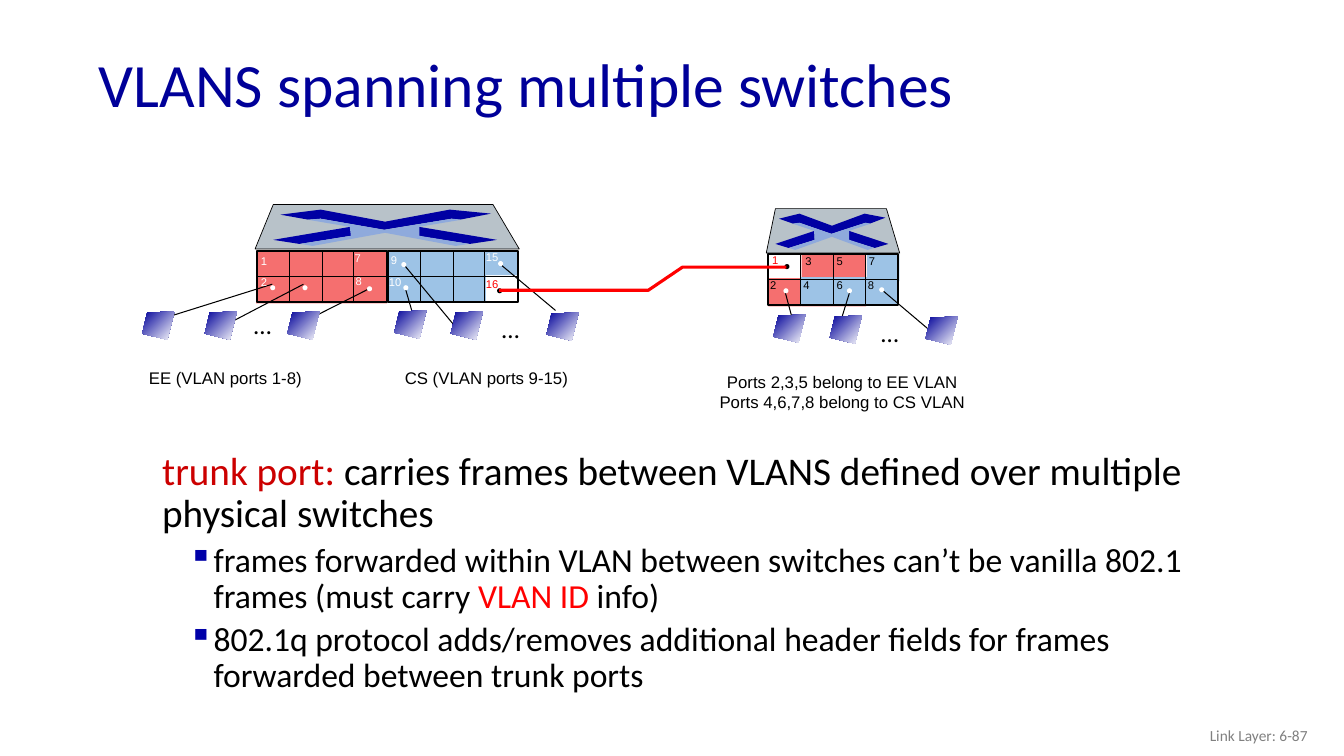
from typing import NamedTuple

from lxml.etree import SubElement
from pptx import Presentation
from pptx.dml.color import RGBColor
from pptx.enum.shapes import MSO_CONNECTOR as CONN, MSO_SHAPE as SHAPE
from pptx.enum.text import MSO_ANCHOR as ANCHOR, MSO_AUTO_SIZE as AUTO, PP_ALIGN as ALIGN
from pptx.oxml.ns import qn
from pptx.util import Inches, Pt

RED, BLUE, WHITE, BLACK = "F56F6F", "9DC3E6", "FFFFFF", "000000"
TRUNK, NAVY = "FF0000", "000099"
Point = tuple[float, float]


class Cell(NamedTuple):
    x: float
    y: float
    w: float
    h: float
    color: str


class Label(NamedTuple):
    text: str
    x: float
    y: float
    color: str


class Caption(NamedTuple):
    text: str
    x: float
    y: float
    w: float
    h: float
    wrap: bool


class Switch(NamedTuple):
    x: float
    y: float
    scale: float


# Port colours, two-row port banks and port numbers
CELLS = [
    Cell(2.54, 2.49, 1.3, 0.52, RED),
    Cell(3.84, 2.5, 0.98, 0.5, BLUE),
    Cell(4.81, 2.49, 0.32, 0.24, BLUE),
    Cell(7.62, 2.76, 0.33, 0.28, RED),
    Cell(7.95, 2.52, 0.64, 0.52, RED),
    Cell(8.6, 2.52, 0.32, 0.27, BLUE),
    Cell(7.94, 2.75, 0.97, 0.27, BLUE),
]
BANKS = [(2.55, 2.49), (3.85, 2.49), (7.62, 2.52)]
BANK_W, BANK_H, PORT_W = 1.29, 0.51, 0.32
LABELS = [
    Label("1", 2.49, 2.47, WHITE), Label("2", 2.49, 2.68, WHITE),
    Label("7", 3.42, 2.44, WHITE), Label("8", 3.43, 2.67, WHITE),
    Label("9", 3.78, 2.46, WHITE), Label("10", 3.76, 2.68, WHITE),
    Label("15", 4.72, 2.43, WHITE), Label("16", 4.72, 2.7, TRUNK),
    Label("1", 7.56, 2.46, TRUNK), Label("2", 7.54, 2.71, BLACK),
    Label("3", 7.89, 2.47, BLACK), Label("4", 7.87, 2.71, BLACK),
    Label("5", 8.2, 2.47, BLACK), Label("6", 8.2, 2.71, BLACK),
    Label("7", 8.52, 2.47, BLACK), Label("8", 8.51, 2.71, BLACK),
]
DOTS = [(2.68, 2.83), (3, 2.83), (3.64, 2.84), (4, 2.83), (3.98, 2.6), (4.94, 2.59),
        (7.77, 2.86), (8.4, 2.86), (8.72, 2.85)]
TRUNK_DOTS = [(4.93, 2.86), (7.78, 2.62)]
TRUNK_LINE = [(4.95, 2.88), (6.43, 2.88), (6.77, 2.65), (7.8, 2.65)]

# Hosts and their cables
CABLES = [
    ((2.7, 2.82), (1.71, 3.13)), ((3.01, 2.82), (2.13, 3.28)),
    ((3.67, 2.86), (2.92, 3.24)), ((4.02, 2.86), (4.13, 3.24)),
    ((4.01, 2.63), (4.54, 3.27)), ((4.96, 2.62), (5.51, 3.08)),
    ((7.78, 2.87), (7.89, 3.28)), ((8.43, 2.89), (8.3, 3.31)),
    ((8.74, 2.87), (9.26, 3.31)),
]
HOSTS = [(1.41, 3.09), (2.03, 3.09), (2.85, 3.09), (3.91, 3.08), (4.47, 3.09),
         (5.42, 3.1), (7.67, 3.12), (8.23, 3.13), (9.18, 3.14)]
SCREEN = [(0.32, 0), (0.05, 0.01), (0, 0.22), (0.25, 0.28)]
DOTTED = [(2.42, 3.02), (4.88, 3.06), (8.64, 3.1)]
CAPTIONS = [
    Caption("EE (VLAN ports 1-8)", 1.29, 3.6, 1.89, 0.3, True),
    Caption("CS (VLAN ports 9-15)", 3.42, 3.6, 2.81, 0.3, True),
    Caption("Ports 2,3,5 belong to EE VLAN\nPorts 4,6,7,8 belong to CS VLAN",
            7.04, 3.64, 2.63, 0.5, False),
]

# Switch top, measured from its left upper corner
SWITCHES = [Switch(2.53, 2.03, 1), Switch(7.6, 2.07, 0.505)]
LID = [(0, 0.44), (0.18, 0), (2.36, 0), (2.62, 0.44)]
ARROWS = [
    ([(1.93, 0.05), (2.34, 0.09), (2.03, 0.15), (1.95, 0.14), (1.28, 0.25), (0.65, 0.14),
      (0.53, 0.15), (0.25, 0.1), (0.65, 0.05), (1.29, 0.17)], "0000A3"),
    ([(1.62, 0.22), (2.4, 0.35), (2.13, 0.39), (1.61, 0.31)], "0000A3"),
    ([(0.95, 0.22), (0.95, 0.31), (0.44, 0.39), (0.18, 0.35)], "0000A8"),
    ([(0.52, 0.15), (0.65, 0.14), (1.28, 0.25), (1.95, 0.14), (2.05, 0.15), (1.63, 0.22),
      (1.63, 0.31), (2.12, 0.39), (1.99, 0.41), (1.29, 0.28), (0.57, 0.41), (0.45, 0.39),
      (0.95, 0.31), (0.94, 0.22)], "8FAADC"),
]


def rgb(value: str) -> RGBColor:
    return RGBColor.from_string(value)


def style(sp, fill: str = "", line: str = "", width: float = 0):
    sp.shadow.inherit = False
    for part, color in ((sp.fill, fill), (sp.line.fill, line)):
        if color:
            part.solid()
            part.fore_color.rgb = rgb(color)
        else:
            part.background()
    if line:
        sp.line.width = Pt(width)
    return sp


def preset(s, kind, x: float, y: float, w: float, h: float, **look):
    sp = s.shapes.add_shape(kind, Inches(x), Inches(y), Inches(w), Inches(h))
    return style(sp, **look)


def outline(s, points: list[Point], close: bool = True, **look):
    pts = [(Inches(x), Inches(y)) for x, y in points]
    fb = s.shapes.build_freeform(*pts[0])
    fb.add_line_segments(pts[1:], close=close)
    return style(fb.convert_to_shape(), **look)


def line(s, start: Point, end: Point):
    c = s.shapes.add_connector(CONN.STRAIGHT, *(Inches(v) for v in (*start, *end)))
    c.line.color.rgb = rgb(BLACK)
    c.line.width = Pt(0.75)
    SubElement(c._element.spPr, qn("a:effectLst"))
    return c


def font(r, size: float, color: str, name: str = "Calibri") -> None:
    r.font.size, r.font.name = Pt(size), name
    r.font.color.rgb = rgb(color)


def text(s, words: str, x: float, y: float, w: float, h: float, size: float, color: str,
         name: str = "Calibri", align=ALIGN.LEFT, wrap: bool = False):
    tf = s.shapes.add_textbox(Inches(x), Inches(y), Inches(w), Inches(h)).text_frame
    tf.word_wrap = wrap
    tf.auto_size = AUTO.NONE
    tf.text = words
    for p in tf.paragraphs:
        p.alignment = align
        font(p.runs[0], size, color, name)
    return tf


def bank(s, x: float, y: float) -> None:
    frame = preset(s, SHAPE.RECTANGLE, x, y, BANK_W, BANK_H, line=BLACK, width=1.5)
    for side, opposite in ((1, 3), (0, 2)):
        c = line(s, (x, y), (x, y))
        c.begin_connect(frame, side)
        c.end_connect(frame, opposite)
    for i in (1, 3):
        line(s, (x + i * PORT_W, y), (x + i * PORT_W, y + BANK_H))


def switch_top(s, sw: Switch) -> None:
    def place(points: list[Point]) -> list[Point]:
        return [(sw.x + px * sw.scale, sw.y + py) for px, py in points]

    outline(s, place(LID), fill="B8C2C9", line=BLACK, width=0.5)
    for points, color in ARROWS:
        outline(s, place(points), fill=color)


def host(s, x: float, y: float) -> None:
    sp = outline(s, [(x + dx, y + dy) for dx, dy in SCREEN])
    sp.fill.gradient()
    sp.fill.gradient_angle = 315
    for stop, color, pos in zip(sp.fill.gradient_stops, (NAVY, WHITE), (0, 1)):
        stop.color.rgb, stop.position = rgb(color), pos


def body(s) -> None:
    paragraphs = [
        [("trunk port: ", "CC0000"),
         ("carries frames between VLANS defined over multiple physical switches", BLACK)],
        [("frames forwarded within VLAN between switches can’t be vanilla 802.1 frames "
          "(must carry", BLACK), (" VLAN ID ", TRUNK), ("info)", BLACK)],
        [("802.1q protocol adds/removes additional header fields for frames forwarded "
          "between trunk ports", BLACK)],
    ]
    tf = s.shapes.add_textbox(Inches(1.51), Inches(4.43), Inches(10.92), Inches(2.94)).text_frame
    tf.word_wrap = True
    for i, runs in enumerate(paragraphs):
        p = tf.add_paragraph() if i else tf.paragraphs[0]
        if i:
            p.level = 1
            pPr = p._p.get_or_add_pPr()
            pPr.set("marL", str(Inches(0.51)))
            pPr.set("indent", str(Inches(-0.25)))
            SubElement(SubElement(pPr, qn("a:buClr")), qn("a:srgbClr")).set("val", "0000A8")
            SubElement(pPr, qn("a:buChar")).set("char", "▪")
            p.space_before = Pt(5)
        p.line_spacing = 0.9
        for words, color in runs:
            r = p.add_run()
            r.text = words
            font(r, 24 if i else 28, color)


def main() -> None:
    prs = Presentation()
    prs.slide_width, prs.slide_height = Inches(13.33), Inches(7.5)
    s = prs.slides.add_slide(prs.slide_layouts[5])

    # Title
    title = s.shapes.title
    title.left, title.top, title.width, title.height = map(Inches, (0.88, 0.38, 11.5, 0.98))
    tf = title.text_frame
    tf.text = "VLANS spanning multiple switches"
    tf.vertical_anchor = ANCHOR.MIDDLE
    p = tf.paragraphs[0]
    p.alignment, p.line_spacing = ALIGN.LEFT, 0.9
    font(p.runs[0], 44, NAVY)

    # Switches
    for cell in CELLS:
        preset(s, SHAPE.RECTANGLE, *cell[:4], fill=cell.color)
    for x, y in BANKS:
        bank(s, x, y)
    for sw in SWITCHES:
        switch_top(s, sw)

    # Hosts
    for start, end in CABLES:
        line(s, start, end)
    for x, y in HOSTS:
        host(s, x, y)

    # Ports and trunk
    for dots, color in ((DOTS, WHITE), (TRUNK_DOTS, BLACK)):
        for x, y in dots:
            preset(s, SHAPE.OVAL, x, y, 0.05, 0.05, fill=color)
    for lb in LABELS:
        text(s, lb.text, lb.x, lb.y, 0.19 + 0.07 * len(lb.text), 0.23, 8, lb.color, "Arial")
    outline(s, TRUNK_LINE, close=False, line=TRUNK, width=2.25)

    # Captions, body and footer
    for x, y in DOTTED:
        text(s, "…", x, y, 0.38, 0.4, 18, BLACK)
    for cap in CAPTIONS:
        text(s, *cap[:5], 12, BLACK, "Arial", ALIGN.CENTER, cap.wrap)
    body(s)
    footer = text(s, "Link Layer: 6-87", 10.07, 7.1, 3, 0.4, 11, "808080",
                  align=ALIGN.RIGHT, wrap=True)
    footer.vertical_anchor = ANCHOR.MIDDLE
    prs.save("out.pptx")


if __name__ == "__main__":
    main()
